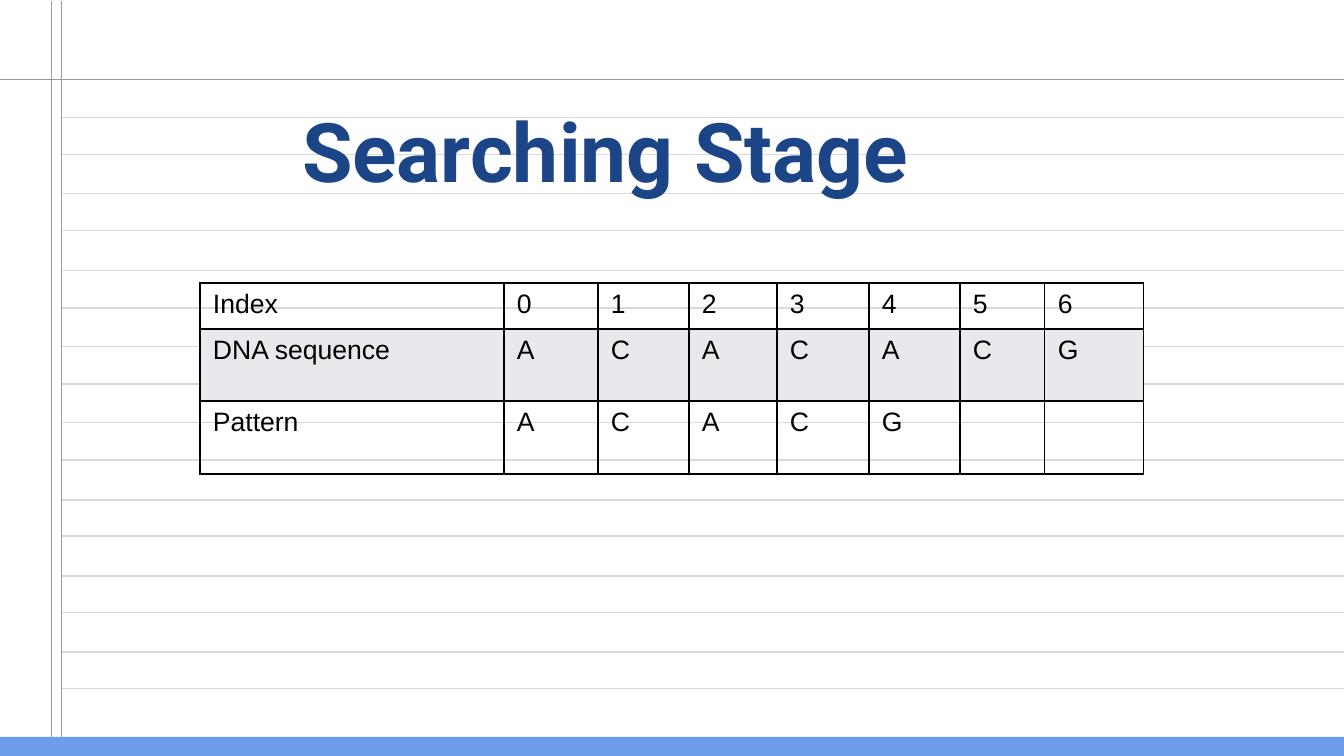
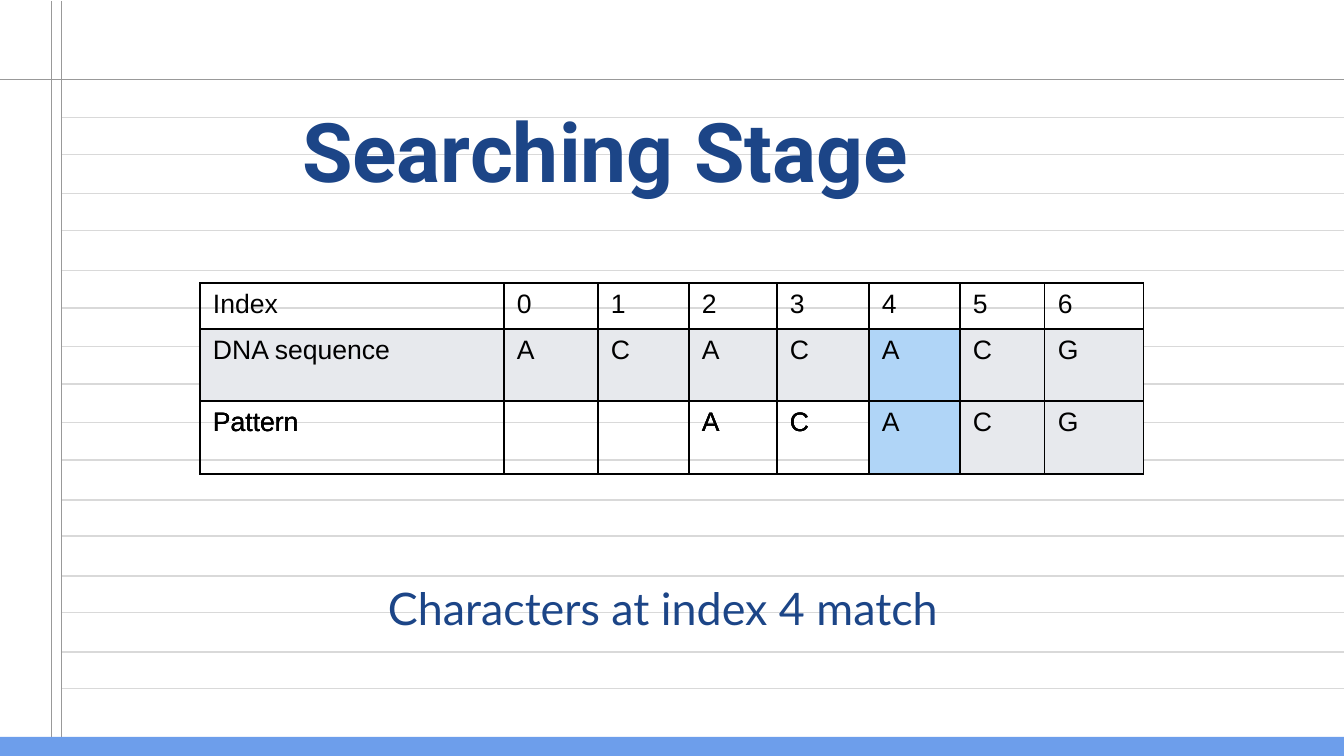
import pptx
import pptx.dml.color
import pptx.enum.shapes
import pptx.enum.text
import pptx.oxml
import pptx.oxml.ns
import pptx.util

PIXELS_PER_INCH = 100.8
WIDTH, HEIGHT = 1344, 756

NAVY, BLUE, BLACK, WHITE = "1C4587", "6D9EEB", "000000", "FFFFFF"
RULE_GREY, MARGIN_GREY = "D9D9D9", "999999"
ROW_GREY, MATCH_BLUE = "E7E9ED", "B0D5F7"

TITLE_BOX = (302, 97, 740, 102)
CAPTION_BOX = (375, 574, 595, 67)
TABLE_LEFT, TABLE_TOP = 200, 283
COLUMN_WIDTHS = (304, 94, 91, 88, 92, 91, 85, 99)
ROW_HEIGHTS = (46, 72, 73)
INSET_X, INSET_Y = 13, 7

RULE_COUNT, FIRST_RULE, RULE_PAIR, RULE_GAP = 16, 118, 76.3, 37
MARGIN_X, SECOND_MARGIN_X, HEADER_Y, BAND_TOP = 51, 61, 80, 737

# Each string holds one letter per column; a space is an empty cell.
INDEX_ROW = ("Index", "0123456")
DNA_ROW = ("DNA sequence", "ACACACG")
FIRST_ROWS = [INDEX_ROW, DNA_ROW, ("Pattern", "ACACG  ")]
SHIFTED_ROWS = [INDEX_ROW, DNA_ROW, ("Pattern", "  ACACG")]

# A table is its rows, its fills and its header colour; the comparison steps
# of one slide are stacked. Fills: "." none, "g" grey, "m" matching.
SLIDES = [
    {
        "title": "Searching Stage",
        "tables": [(FIRST_ROWS, ("........", "gggggggg", "........"), BLACK)],
        "caption": None,
    },
    {
        "title": "Searching Stage",
        "tables": [
            (SHIFTED_ROWS, ("........", "gggggggm", ".....g.m"), WHITE),
            (SHIFTED_ROWS, ("........", "ggggggmg", ".....gmg"), WHITE),
            (SHIFTED_ROWS, ("........", "gggggmgg", ".....mgg"), BLACK),
        ],
        "caption": "Characters at index 4 match",
    },
]
FILL_COLORS = {"g": ROW_GREY, "m": MATCH_BLUE}


def px(length):
    return pptx.util.Inches(length / PIXELS_PER_INCH)


def color(value):
    return pptx.dml.color.RGBColor.from_string(value)


def style_text(paragraph, font_name, size, text_color, bold=False):
    for run in paragraph.runs:
        run.font.name = font_name
        run.font.size = pptx.util.Pt(size)
        run.font.bold = bold
        run.font.color.rgb = color(text_color)


def add_line(slide, start, end, line_color, width):
    line = slide.shapes.add_connector(
        pptx.enum.shapes.MSO_CONNECTOR.STRAIGHT, *map(px, (*start, *end)))
    line.line.color.rgb = color(line_color)
    line.line.width = pptx.util.Pt(width)
    properties = line.element.find(pptx.oxml.ns.qn("p:spPr"))
    properties.append(pptx.oxml.parse_xml(
        f'<a:effectLst {pptx.oxml.ns.nsdecls("a")}/>'))
    return line


def add_notebook_page(slide):
    """Draw the ruled paper and move it behind the layout's placeholders."""
    parts = []
    for index in range(RULE_COUNT):
        pair, second = divmod(index, 2)
        y = round(FIRST_RULE + pair * RULE_PAIR + second * RULE_GAP)
        parts.append(add_line(slide, (SECOND_MARGIN_X, y), (WIDTH, y), RULE_GREY, 0.75))
    for x in (MARGIN_X, SECOND_MARGIN_X):
        parts.append(add_line(slide, (x, 1), (x, HEIGHT - 1), MARGIN_GREY, 0.62))
    parts.append(add_line(slide, (0, HEADER_Y), (WIDTH, HEADER_Y), MARGIN_GREY, 0.75))
    band = slide.shapes.add_shape(
        pptx.enum.shapes.MSO_SHAPE.RECTANGLE,
        *map(px, (0, BAND_TOP, WIDTH, HEIGHT - BAND_TOP)))
    band.shadow.inherit = False
    band.fill.solid()
    band.fill.fore_color.rgb = color(BLUE)
    band.line.fill.background()
    parts.append(band)
    layout_tree = slide.slide_layout.shapes.element
    for position, part in enumerate(parts, start=2):
        layout_tree.insert(position, part.element)


def place(shape, box):
    shape.left, shape.top, shape.width, shape.height = map(px, box)


def set_title(slide, text):
    title = slide.shapes.title
    place(title, TITLE_BOX)
    frame = title.text_frame
    frame.text = text
    frame.word_wrap = True
    frame.auto_size = pptx.enum.text.MSO_AUTO_SIZE.NONE
    frame.vertical_anchor = pptx.enum.text.MSO_ANCHOR.BOTTOM
    frame.margin_left = frame.margin_right = frame.margin_top = frame.margin_bottom = 0
    paragraph = frame.paragraphs[0]
    paragraph.alignment = pptx.enum.text.PP_ALIGN.LEFT
    paragraph.line_spacing = 1.0
    style_text(paragraph, "Roboto", 58.7, NAVY, bold=True)


def set_insets(target):
    target.margin_left = target.margin_right = px(INSET_X)
    target.margin_top = target.margin_bottom = px(INSET_Y)


def add_borders(cell):
    properties = cell._tc.get_or_add_tcPr()
    for side in "LRTB":
        properties.append(pptx.oxml.parse_xml(
            f'<a:ln{side} {pptx.oxml.ns.nsdecls("a")} w="12700"><a:solidFill>'
            f'<a:srgbClr val="{BLACK}"/></a:solidFill></a:ln{side}>'))


def add_sequence_table(slide, rows, fills, header_color):
    table = slide.shapes.add_table(
        len(ROW_HEIGHTS), len(COLUMN_WIDTHS), px(TABLE_LEFT), px(TABLE_TOP),
        px(sum(COLUMN_WIDTHS)), px(sum(ROW_HEIGHTS))).table
    table.first_row = table.horz_banding = False
    for column, width in zip(table.columns, COLUMN_WIDTHS):
        column.width = px(width)
    text_colors = (header_color, BLACK, BLACK)
    for row, height, (label, letters), marks, text_color in zip(
            table.rows, ROW_HEIGHTS, rows, fills, text_colors):
        row.height = px(height)
        for cell, text, mark in zip(row.cells, (label, *letters), marks):
            set_insets(cell)
            add_borders(cell)
            if mark in FILL_COLORS:
                cell.fill.solid()
                cell.fill.fore_color.rgb = color(FILL_COLORS[mark])
            else:
                cell.fill.background()
            if text.strip():
                cell.text_frame.text = text
                style_text(cell.text_frame.paragraphs[0], "Arial", 19, text_color)


def add_caption(slide, text):
    frame = slide.shapes.add_textbox(*map(px, CAPTION_BOX)).text_frame
    frame.word_wrap = True
    set_insets(frame)
    frame.text = text
    style_text(frame.paragraphs[0], "Lato", 32, NAVY)


def main():
    presentation = pptx.Presentation()
    presentation.slide_width, presentation.slide_height = px(WIDTH), px(HEIGHT)
    title_only = presentation.slide_layouts.get_by_name("Title Only")
    for number, content in enumerate(SLIDES):
        slide = presentation.slides.add_slide(title_only)
        if number == 0:
            add_notebook_page(slide)
        set_title(slide, content["title"])
        for rows, fills, header_color in content["tables"]:
            add_sequence_table(slide, rows, fills, header_color)
        if content["caption"]:
            add_caption(slide, content["caption"])
    presentation.save("out.pptx")


if __name__ == "__main__":
    main()
